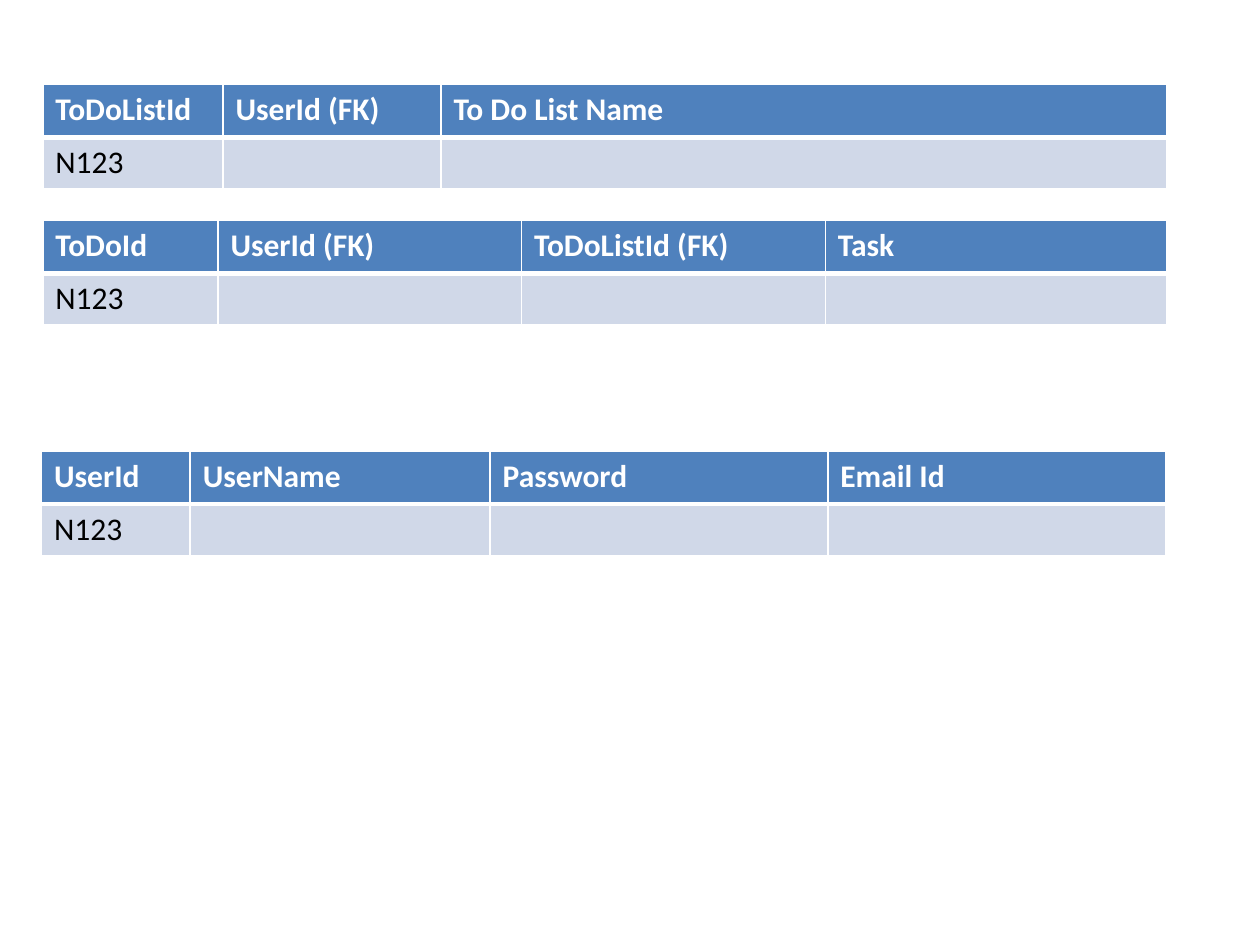
"""Build a slide with the three database tables of a to-do application."""

import dataclasses

import lxml.etree
import pptx
import pptx.dml.color
import pptx.oxml.ns
import pptx.util

SLIDE_COLUMNS, SLIDE_ROWS = 1000, 750
GRID_STEP = pptx.util.Inches(10) // SLIDE_COLUMNS
HEADER_ROWS, RECORD_ROWS = 42, 41
COLORS = {
    "header": "4F81BD",
    "record": "D0D8E8",
    "header_text": "FFFFFF",
    "record_text": "000000",
    "border": "FFFFFF",
}


@dataclasses.dataclass(frozen=True)
class Field:
    name: str
    columns: int
    sample: str = ""


@dataclasses.dataclass(frozen=True)
class Entity:
    left: int
    top: int
    fields: tuple[Field, ...]


ENTITIES = (
    Entity(34, 67, (
        Field("ToDoListId", 143, "N123"),
        Field("UserId (FK)", 173),
        Field("To Do List Name", 576),
    )),
    Entity(34, 175, (
        Field("ToDoId", 139, "N123"),
        Field("UserId (FK)", 241),
        Field("ToDoListId (FK)", 241),
        Field("Task", 271),
    )),
    Entity(33, 358, (
        Field("UserId", 118, "N123"),
        Field("UserName", 238),
        Field("Password", 268),
        Field("Email Id", 268),
    )),
)


def rgb(role: str) -> pptx.dml.color.RGBColor:
    return pptx.dml.color.RGBColor.from_string(COLORS[role])


def set_borders(cell: object, widths: dict[str, int]) -> None:
    properties = cell._tc.get_or_add_tcPr()
    qn = pptx.oxml.ns.qn
    for position, (side, points) in enumerate(widths.items()):
        line = lxml.etree.Element(qn(f"a:ln{side}"), w=str(pptx.util.Pt(points)))
        fill = lxml.etree.SubElement(line, qn("a:solidFill"))
        lxml.etree.SubElement(fill, qn("a:srgbClr"), val=COLORS["border"])
        properties.insert(position, line)


def fill_cell(cell: object, text: str, is_header: bool) -> None:
    role = "header" if is_header else "record"
    cell.fill.solid()
    cell.fill.fore_color.rgb = rgb(role)
    set_borders(cell, {
        "L": 1,
        "R": 1,
        "T": 1 if is_header else 3,
        "B": 3 if is_header else 1,
    })
    cell.text = text
    font = cell.text_frame.paragraphs[0].font
    font.name = "Calibri"
    font.size = pptx.util.Pt(18)
    font.bold = is_header
    font.color.rgb = rgb(f"{role}_text")


def draw_entity(slide: object, entity: Entity) -> None:
    width = sum(field.columns for field in entity.fields)
    heights = (HEADER_ROWS, RECORD_ROWS)
    table = slide.shapes.add_table(
        len(heights), len(entity.fields),
        entity.left * GRID_STEP, entity.top * GRID_STEP,
        width * GRID_STEP, sum(heights) * GRID_STEP,
    ).table
    for row, height in zip(table.rows, heights):
        row.height = height * GRID_STEP
    for index, field in enumerate(entity.fields):
        table.columns[index].width = field.columns * GRID_STEP
        fill_cell(table.cell(0, index), field.name, True)
        fill_cell(table.cell(1, index), field.sample, False)


def main() -> None:
    presentation = pptx.Presentation()
    presentation.slide_width = SLIDE_COLUMNS * GRID_STEP
    presentation.slide_height = SLIDE_ROWS * GRID_STEP
    slide = presentation.slides.add_slide(presentation.slide_layouts[6])
    for entity in ENTITIES:
        draw_entity(slide, entity)
    presentation.save("out.pptx")


if __name__ == "__main__":
    main()
